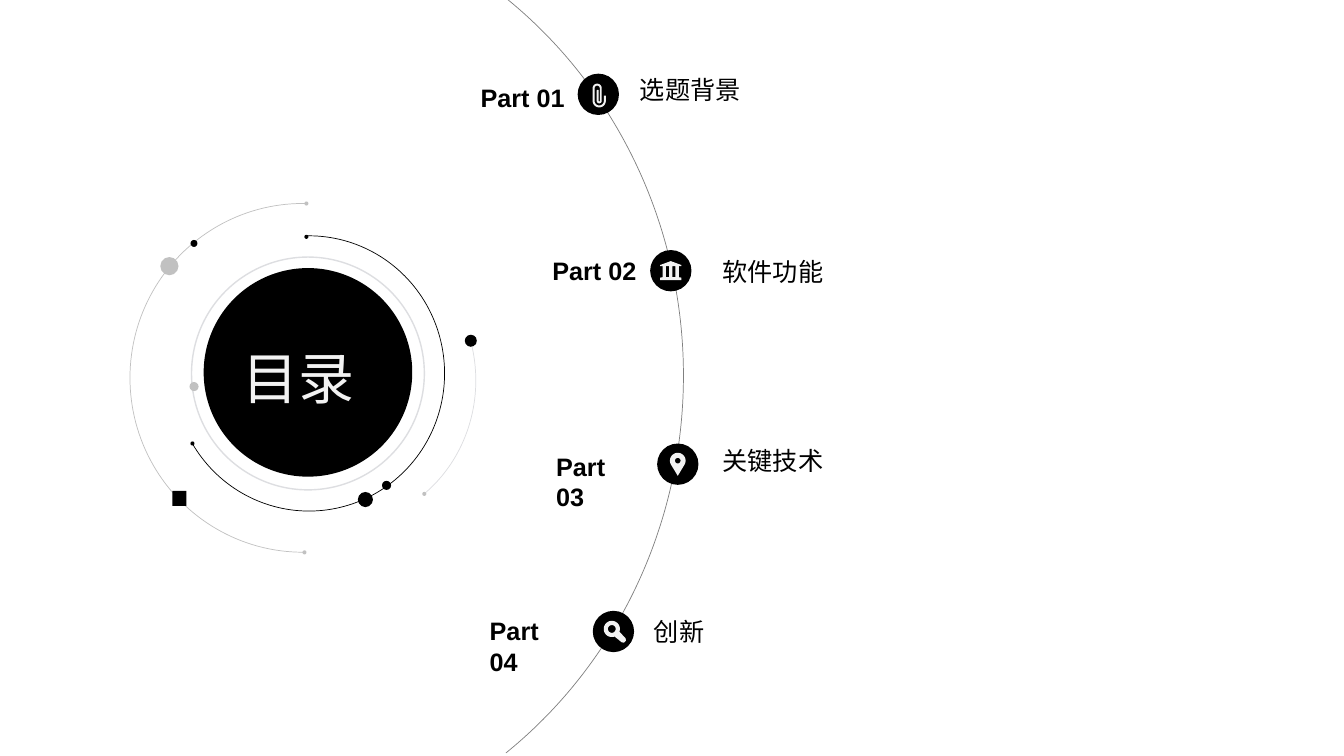
from collections import namedtuple
from dataclasses import dataclass
from math import cos, radians, sin

from pptx import Presentation
from pptx.dml.color import RGBColor
from pptx.enum.shapes import MSO_SHAPE as Preset
from pptx.enum.text import MSO_AUTO_SIZE as AutoSize
from pptx.util import Pt

Box = namedtuple("Box", "left top width height")
Entry = namedtuple("Entry", "label label_at label_width caption caption_at disc_at icon")


@dataclass(frozen=True)
class Theme:
    """Colours, fonts and type sizes of the deck."""
    ink: str = "000000"
    paper: str = "F2F2F2"
    silver: str = "C1C1C1"
    mist: str = "DDDEE1"
    orbit: str = "808080"
    title_font: str = "Noto Sans CJK SC"
    label_font: str = "Arial"
    caption_font: str = "Cabin"
    title_size: int = 40
    entry_size: int = 18
    hairline: float = 0.5


THEME = Theme()


def curve(x, y, radius, start, end, steps=24):
    """Return points along a circular arc, with angles clockwise from the right."""
    angles = [radians(start + (end - start) * step / steps) for step in range(steps + 1)]
    return [(x + radius * cos(angle), y + radius * sin(angle)) for angle in angles]


def pane(left, right):
    """Return the opening between two columns of the building icon."""
    return [(left, -3.2), (right, -3.2), (right, 4.7), (left, 4.7)]


BUILDING_SIDE = [(7.6, -4), (7.6, -3.2), (5.8, -3.2), (5.8, 4.7), (7.6, 5), (7.6, 6.8)]
CLIP = [[
    (5.4, 1), *curve(0.7, 4.7, 4.7, 0, 180), *curve(-0.75, -4.3, 3.25, 180, 360),
    *curve(0.7, 4.7, 1.8, 0, 180), *curve(-0.4, -2.5, 0.7, 180, 360),
    *curve(0.7, 4.7, 0.4, 180, 0), *curve(-0.75, -4.3, 1.85, 360, 180),
    *curve(0.7, 4.7, 3.3, 180, 0), (4, 1),
]]
BUILDING = [
    [(0, -6.8), *BUILDING_SIDE, *[(-x, y) for x, y in reversed(BUILDING_SIDE)]],
    pane(-3.4, -1.2), pane(1.2, 3.4),
]
PIN = [[*curve(0, -2.5, 5.6, 155, 385), (0, 8.3)], curve(0, -2.5, 2, 0, 360)]
MAGNIFIER = [
    [*curve(-1.1, -1.8, 5.8, 70, 380), (8.7, 4.9), (9, 6.5), (7.6, 8), (6, 7.8)],
    curve(-1.1, -1.8, 2.8, 0, 360),
]

ENTRIES = [
    Entry("Part 01", (336.2, 55.4), 80.6, "选题背景", (450, 49.7), (412.6, 52.6), CLIP),
    Entry("Part 02", (387.4, 178.6), 80.6, "软件功能", (509, 179.3), (464.4, 178.6), BUILDING),
    Entry("Part 03", (390.2, 319), 73.4, "关键技术", (509, 314.6), (469.4, 316.8), PIN),
    Entry("Part 04", (342.7, 436.3), 73.4, "创新", (460, 437), (423.4, 436.3), MAGNIFIER),
]


def paint(shape, fill=None, line=None, weight=THEME.hairline):
    """Give a shape a flat fill and line, or none of either."""
    shape.shadow.inherit = False
    if fill:
        shape.fill.solid()
        shape.fill.fore_color.rgb = RGBColor.from_string(fill)
    else:
        shape.fill.background()
    if line:
        shape.line.color.rgb = RGBColor.from_string(line)
        shape.line.width = Pt(weight)
    else:
        shape.line.fill.background()


def add_preset(page, preset, box, **style):
    """Add a painted preset shape in the given box."""
    shape = page.shapes.add_shape(preset, *map(Pt, box))
    paint(shape, **style)
    return shape


def add_arc(page, box, start, end, line):
    """Add an arc that runs clockwise between two angles in degrees."""
    arc = add_preset(page, Preset.ARC, box, line=line)
    arc.adjustments[0] = start * 0.6
    arc.adjustments[1] = end * 0.6


def add_dot(page, x, y, size, color):
    """Add a filled circle around a centre point."""
    add_preset(page, Preset.OVAL, Box(x - size / 2, y - size / 2, size, size), fill=color)


def add_text(page, box, text, font, size, color, bold=False):
    """Add a wrapped text box holding one paragraph."""
    shape = page.shapes.add_textbox(*map(Pt, box))
    frame = shape.text_frame
    frame.word_wrap = True
    frame.auto_size = AutoSize.SHAPE_TO_FIT_TEXT
    para = frame.paragraphs[0]
    para.text = text
    para.font.name = font
    para.font.size = Pt(size)
    para.font.bold = bold
    para.font.color.rgb = RGBColor.from_string(color)


def add_icon(page, x, y, contours):
    """Add a light icon of closed contours around a centre point."""
    placed = [[((x + dx) * 100, (y + dy) * 100) for dx, dy in contour] for contour in contours]
    builder = page.shapes.build_freeform(*placed[0][0], scale=Pt(1) / 100)
    for index, contour in enumerate(placed):
        if index:
            builder.move_to(*contour[0])
        builder.add_line_segments(contour[1:], close=True)
    paint(builder.convert_to_shape(), fill=THEME.paper)


def draw_emblem(page, box):
    """Draw the title disc with its rings and satellites."""
    left, top = box.left, box.top
    arcs = [
        (0, 1.4, 247, 249.1, 89.48, 271.02, THEME.silver),
        (52.6, 24.5, 194.4, 206.6, 344.06, 52.85, THEME.mist),
        (31, 24.5, 193.7, 196.6, 268.93, 148.98, THEME.ink),
    ]
    for x, y, width, height, start, end, color in arcs:
        add_arc(page, Box(left + x, top + y, width, height), start, end, color)
    add_preset(page, Preset.OVAL, Box(left + 52.6, top + 47.5, 149, 149), fill=THEME.ink)
    add_preset(page, Preset.OVAL, Box(left + 43.9, top + 39.6, 166.3, 166.3),
               line=THEME.mist, weight=1)
    add_text(page, Box(left + 73.4, top + 97.9, 133.2, 55.4), "目录",
             THEME.title_font, THEME.title_size, THEME.paper)
    satellites = [
        (126, 1.4, 2.9, THEME.silver), (124.6, 250.6, 2.9, THEME.silver),
        (210.2, 208.8, 2.9, THEME.silver), (126, 25.2, 2.9, THEME.ink),
        (44.6, 172.8, 2.9, THEME.ink), (168.1, 212.8, 10.8, THEME.ink),
        (183.2, 202.7, 6.5, THEME.ink), (243.4, 99.4, 8.6, THEME.ink),
        (45.7, 132.1, 6.5, THEME.silver), (28.1, 46.1, 13, THEME.silver),
        (45.7, 29.9, 5, THEME.ink),
    ]
    for x, y, size, color in satellites:
        add_dot(page, left + x, top + y, size, color)
    add_preset(page, Preset.RECTANGLE, Box(left + 30.2, top + 206.6, 10.1, 10.8), fill=THEME.ink)


def draw_entry(page, box, entry):
    """Draw one contents entry: label, caption and icon disc."""
    label_x, label_y = entry.label_at
    caption_x, caption_y = entry.caption_at
    disc_x, disc_y = entry.disc_at
    size = 29.5
    add_text(page, Box(box.left + label_x, box.top + label_y, entry.label_width, 28.8),
             entry.label, THEME.label_font, THEME.entry_size, THEME.ink, bold=True)
    add_text(page, Box(box.left + caption_x, box.top + caption_y, 164.2, 28.8),
             entry.caption, THEME.caption_font, THEME.entry_size, THEME.ink)
    center = box.left + disc_x + size / 2, box.top + disc_y + size / 2
    add_dot(page, *center, size, THEME.ink)
    add_icon(page, *center, entry.icon)


def draw_contents(page, box):
    """Draw the orbit line and the contents entries along it."""
    add_arc(page, Box(box.left - 169.2, box.top - 73.4, 657.4, 683.3), 307.13, 53.17, THEME.orbit)
    for entry in ENTRIES:
        draw_entry(page, box, entry)


def main():
    """Build the contents slide and save the deck."""
    deck = Presentation()
    deck.slide_width, deck.slide_height = Pt(960), Pt(540)
    page = deck.slides.add_slide(deck.slide_layouts[6])
    draw_emblem(page, Box(92.9, 144, 250, 252))
    draw_contents(page, Box(0, 0, 960, 540))
    deck.save("out.pptx")


if __name__ == "__main__":
    main()
